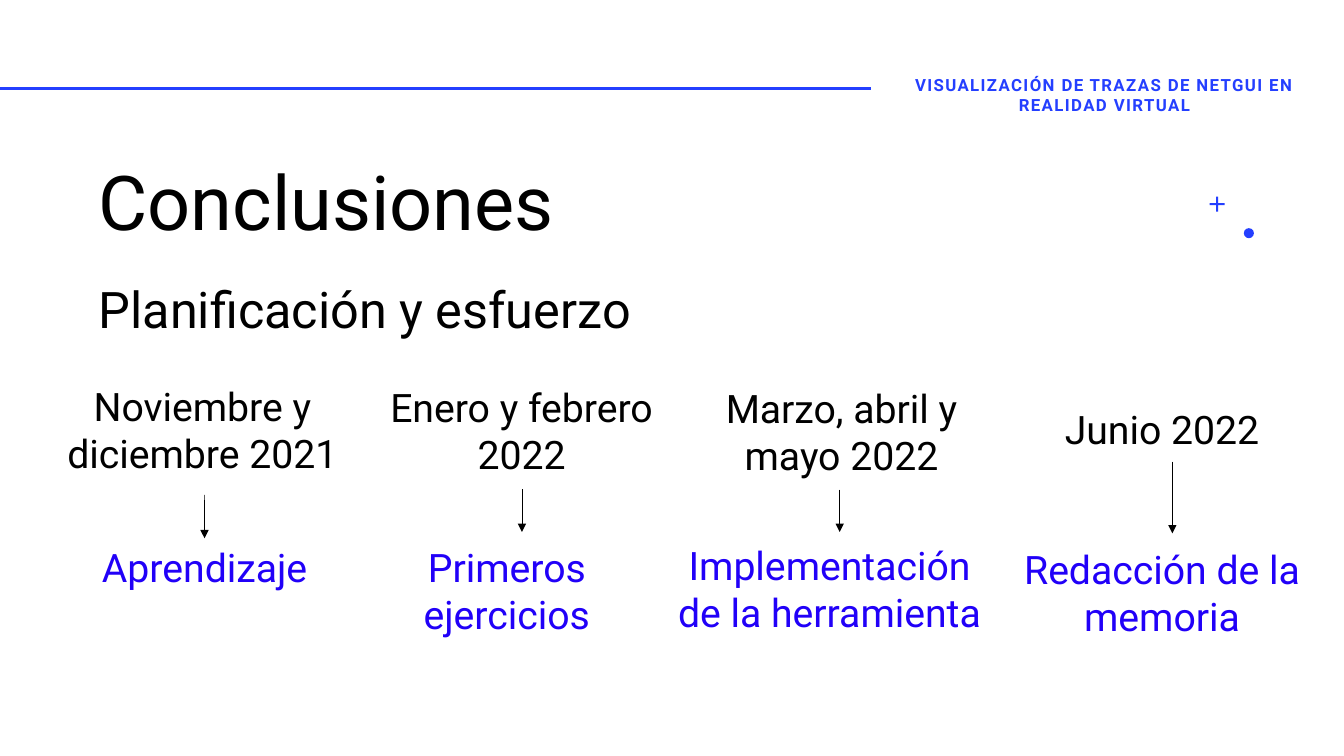
from pptx import Presentation
from pptx.dml.color import RGBColor
from pptx.enum.shapes import MSO_CONNECTOR as Line, MSO_SHAPE as Shape
from pptx.enum.text import MSO_ANCHOR as Anchor, MSO_AUTO_SIZE as Fit, PP_ALIGN as Align
from pptx.oxml.ns import qn
from pptx.util import Pt
from lxml.etree import SubElement

BLUE, VIOLET, BLACK = "243FFF", "2100F8", "000000"


def color(value):
    return RGBColor.from_string(value)


class Page:
    font = "Roboto"

    def __init__(self, deck):
        self.shapes = deck.slides.add_slide(deck.slide_layouts[6]).shapes

    def text(self, words, left, top, width, height, size, ink=BLACK, bold=False,
             align=Align.LEFT, anchor=Anchor.TOP, leading=1.0, tracking=0, fit=Fit.NONE):
        box = self.shapes.add_textbox(Pt(left), Pt(top), Pt(width), Pt(height))
        frame = box.text_frame
        frame.word_wrap, frame.auto_size, frame.vertical_anchor = True, fit, anchor
        para = frame.paragraphs[0]
        para.alignment, para.line_spacing = align, leading
        span = para.add_run()
        span.text = words
        font = span.font
        font.name, font.size, font.bold = self.font, Pt(size), bold
        font.color.rgb = color(ink)
        if tracking:
            span._r.get_or_add_rPr().set("spc", str(tracking * 100))
        return box

    def mark(self, kind, left, top, size):
        shape = self.shapes.add_shape(kind, Pt(left), Pt(top), Pt(size), Pt(size))
        shape.shadow.inherit = False
        shape.fill.solid()
        shape.fill.fore_color.rgb = color(BLUE)
        shape.line.fill.background()
        return shape

    def line(self, x1, y1, x2, y2, ink, weight):
        line = self.shapes.add_connector(Line.STRAIGHT, Pt(x1), Pt(y1), Pt(x2), Pt(y2))
        line.line.color.rgb = color(ink)
        line.line.width = Pt(weight)
        SubElement(line._element.spPr, qn("a:effectLst"))
        return line

    def arrow(self, x, top, bottom, target):
        """Draw a downward arrow, joined to the target when it reaches its top side."""
        arrow = self.line(x, top, x, bottom, BLACK, 0.5)
        SubElement(arrow.line._get_or_add_ln(), qn("a:tailEnd"), type="triangle")
        if abs(arrow.end_y - target.top) < Pt(1):
            arrow.end_connect(target, 0)


def main():
    deck = Presentation()
    deck.slide_width, deck.slide_height = Pt(960), Pt(540)
    page = Page(deck)

    page.line(0, 63.3, 622, 63.3, BLUE, 2)
    page.mark(Shape.OVAL, 888.5, 163, 7.2)
    plus = page.mark(Shape.CROSS, 864, 140.4, 10.8)
    plus.adjustments[0] = 0.43

    page.text("Conclusiones", 63.4, 105, 487.5, 75, 54, anchor=Anchor.BOTTOM, leading=0.9)
    page.text("VISUALIZACIÓN DE TRAZAS DE NETGUI EN REALIDAD VIRTUAL", 627, 49, 324, 37.5, 12,
              ink=BLUE, bold=True, align=Align.CENTER, anchor=Anchor.MIDDLE, tracking=1)
    page.text("Planificación y esfuerzo", 63.4, 191, 549.5, 62.5, 36, leading=1.1)

    # Each stage: (period, left, top, height), (task, left, top, height), (arrow x, top, bottom)
    stages = [
        (("Noviembre y diciembre 2021", 26, 269.3, 75),
         ("Aprendizaje", 27.6, 384.5, 41), (146, 353.5, 384.5)),
        (("Enero y febrero 2022", 254, 270.2, 75),
         ("Primeros ejercicios", 243.5, 384.5, 75), (372.8, 349.4, 380)),
        (("Marzo, abril y mayo 2022", 482.5, 270.7, 75),
         ("Implementación de la herramienta", 474, 383, 109), (599.8, 349.8, 380)),
        (("Junio 2022", 711.5, 286, 41),
         ("Redacción de la memoria", 711.5, 386, 75), (837.4, 329.8, 381)),
    ]
    label = dict(size=28, align=Align.CENTER, fit=Fit.SHAPE_TO_FIT_TEXT)
    for period, task, (x, start, end) in stages:
        for (words, left, top, height), ink in ((period, BLACK), (task, VIOLET)):
            box = page.text(words, left, top, 237, height, ink=ink, **label)
        page.arrow(x, start, end, box)

    deck.save("out.pptx")


if __name__ == "__main__":
    main()
